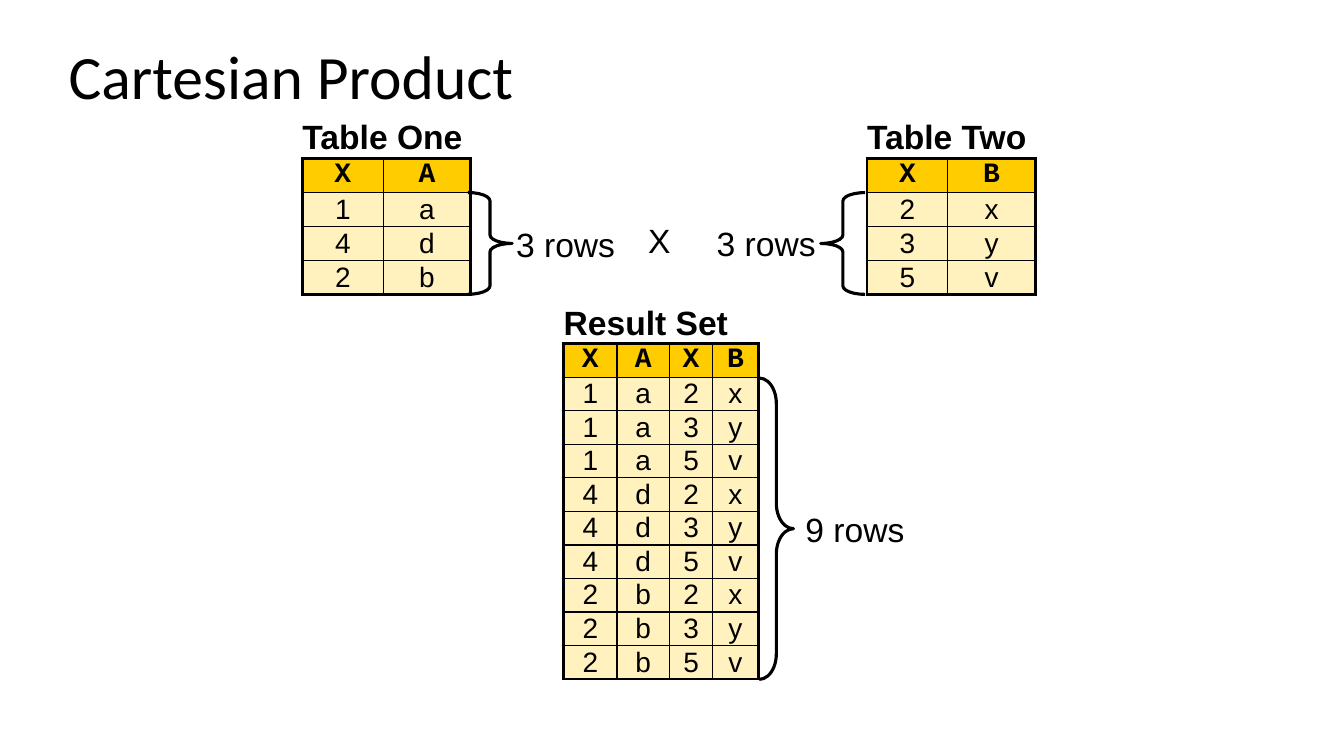
from dataclasses import dataclass
from itertools import product

from lxml.etree import SubElement
from pptx import Presentation
from pptx.dml.color import RGBColor
from pptx.enum.shapes import MSO_SHAPE as Preset
from pptx.enum.text import MSO_ANCHOR as Anchor, MSO_AUTO_SIZE as AutoSize, PP_ALIGN as Align
from pptx.oxml.ns import qn
from pptx.util import Inches, Pt


@dataclass(frozen=True)
class Theme:
    ink: str = "000000"
    header_fill: str = "FFCC00"
    body_fill: str = "FFF2BE"
    title_font: str = "Calibri"
    text_font: str = "Arial"
    header_font: str = "Courier New"
    title_size: int = 44
    label_size: int = 24
    cell_size: int = 20
    thin: float = 1
    thick: float = 2.25


class SlideBuilder:
    def __init__(self, slide, theme):
        self.slide = slide
        self.theme = theme

    def style(self, paragraph, name, size, bold=False):
        font = paragraph.font
        font.name, font.size, font.bold = name, Pt(size), bold
        font.color.rgb = RGBColor.from_string(self.theme.ink)

    def title(self, text, left, top, width, height):
        shape = self.slide.shapes.title
        shape.left, shape.top = Inches(left), Inches(top)
        shape.width, shape.height = Inches(width), Inches(height)
        frame = shape.text_frame
        frame.text = text
        frame.vertical_anchor = Anchor.MIDDLE
        paragraph = frame.paragraphs[0]
        paragraph.alignment = Align.LEFT
        paragraph.line_spacing = 0.9
        self.style(paragraph, self.theme.title_font, self.theme.title_size)

    def borders(self, cell, widths):
        """Set left, right, top and bottom borders; None means no line."""
        properties = cell._tc.get_or_add_tcPr()
        for index, (side, width) in enumerate(zip("LRTB", widths)):
            line = SubElement(properties, qn(f"a:ln{side}"))
            properties.insert(index, line)
            if width is None:
                SubElement(line, qn("a:noFill"))
            else:
                line.set("w", str(Pt(width)))
                fill = SubElement(line, qn("a:solidFill"))
                SubElement(fill, qn("a:srgbClr")).set("val", self.theme.ink)

    def cell(self, cell, text, name, size, bold, margin, alignment, fill):
        cell.text = text
        cell.vertical_anchor = Anchor.MIDDLE
        cell.margin_left = cell.margin_right = Inches(margin)
        cell.margin_top = cell.margin_bottom = 0
        if fill:
            cell.fill.solid()
            cell.fill.fore_color.rgb = RGBColor.from_string(fill)
        else:
            cell.fill.background()
        paragraph = cell.text_frame.paragraphs[0]
        paragraph.alignment = alignment
        self.style(paragraph, name, size, bold)

    def table(self, caption, header, rows, left, top, height, columns):
        theme = self.theme
        thin, thick = theme.thin, theme.thick
        caption_height = 0.4
        grid = [header, *rows]
        table = self.slide.shapes.add_table(
            len(grid) + 1, len(columns), Inches(left), Inches(top),
            Inches(sum(columns)), Inches(height)).table
        table.first_row = table.horz_banding = False
        for column, width in zip(table.columns, columns):
            column.width = Inches(width)
        for row in table.rows:
            row.height = Inches((height - caption_height) / len(grid))
        table.rows[0].height = Inches(caption_height)

        # Caption across the full width
        last_column = len(columns) - 1
        for column in range(len(columns)):
            self.cell(table.cell(0, column), "" if column else caption, theme.text_font,
                      theme.label_size, True, 0, Align.LEFT, None)
            self.borders(table.cell(0, column), (None, None, None, thick))
        table.cell(0, 0).merge(table.cell(0, last_column))

        # Header and data inside a thick frame
        for row, values in enumerate(grid, 1):
            is_header = row == 1
            for column, value in enumerate(values):
                cell = table.cell(row, column)
                self.cell(cell, value,
                          theme.header_font if is_header else theme.text_font,
                          theme.cell_size, is_header, 0.1, Align.CENTER,
                          theme.header_fill if is_header else theme.body_fill)
                edges = (column == 0, column == last_column, is_header, row == len(grid))
                self.borders(cell, [thick if edge else thin for edge in edges])

    def label(self, text, left, top, width, wrap=False, shapes=None):
        shapes = shapes or self.slide.shapes
        frame = shapes.add_textbox(
            Inches(left), Inches(top), Inches(width), Inches(0.6)).text_frame
        frame.word_wrap = wrap
        frame.auto_size = AutoSize.SHAPE_TO_FIT_TEXT
        frame.margin_left = frame.margin_right = Inches(0.1)
        frame.margin_top = frame.margin_bottom = Inches(0.1)
        frame.text = text
        self.style(frame.paragraphs[0], self.theme.text_font, self.theme.label_size)

    def row_count(self, text, text_at, brace_at, curl, rotation=0):
        shapes = self.slide.shapes.add_group_shape().shapes
        brace = shapes.add_shape(Preset.RIGHT_BRACE, *map(Inches, brace_at))
        brace.adjustments[0] = curl
        brace.rotation = rotation
        brace.shadow.inherit = False
        brace.fill.background()
        brace.line.color.rgb = RGBColor.from_string(self.theme.ink)
        brace.line.width = Pt(self.theme.thick)
        self.label(text, *text_at, 1.19, shapes=shapes)


def main():
    presentation = Presentation()
    presentation.slide_width = Inches(13.33)
    presentation.slide_height = Inches(7.5)
    slide = presentation.slides.add_slide(presentation.slide_layouts[5])
    builder = SlideBuilder(slide, Theme())
    builder.title("Cartesian Product", 0.58, 0.06, 11.5, 1.45)

    # Source tables and their product
    one = [("1", "a"), ("4", "d"), ("2", "b")]
    two = [("2", "x"), ("3", "y"), ("5", "v")]
    result = [first + second for first, second in product(one, two)]
    builder.table("Table One", "XA", one, 3, 1.17, 1.75, (0.8, 0.87))
    builder.table("Table Two", "XB", two, 8.6, 1.17, 1.75, (0.8, 0.87))
    builder.table("Result Set", "XAXB", result, 5.59, 3.01, 3.73, (0.53, 0.52, 0.43, 0.45))

    # Row counts with braces
    builder.row_count("9 rows", (7.89, 4.95), (7.53, 3.75, 0.34, 2.99), 0.74)
    builder.row_count("3 rows", (5.02, 2.12), (4.64, 1.91, 0.44, 1.01), 0.19)
    builder.row_count("3 rows", (7.01, 2.11), (8.14, 1.91, 0.44, 1.01), 0.19, rotation=180)

    # Multiplication sign
    builder.label("X", 6.33, 2.08, 0.5, wrap=True)

    presentation.save("out.pptx")


if __name__ == "__main__":
    main()
